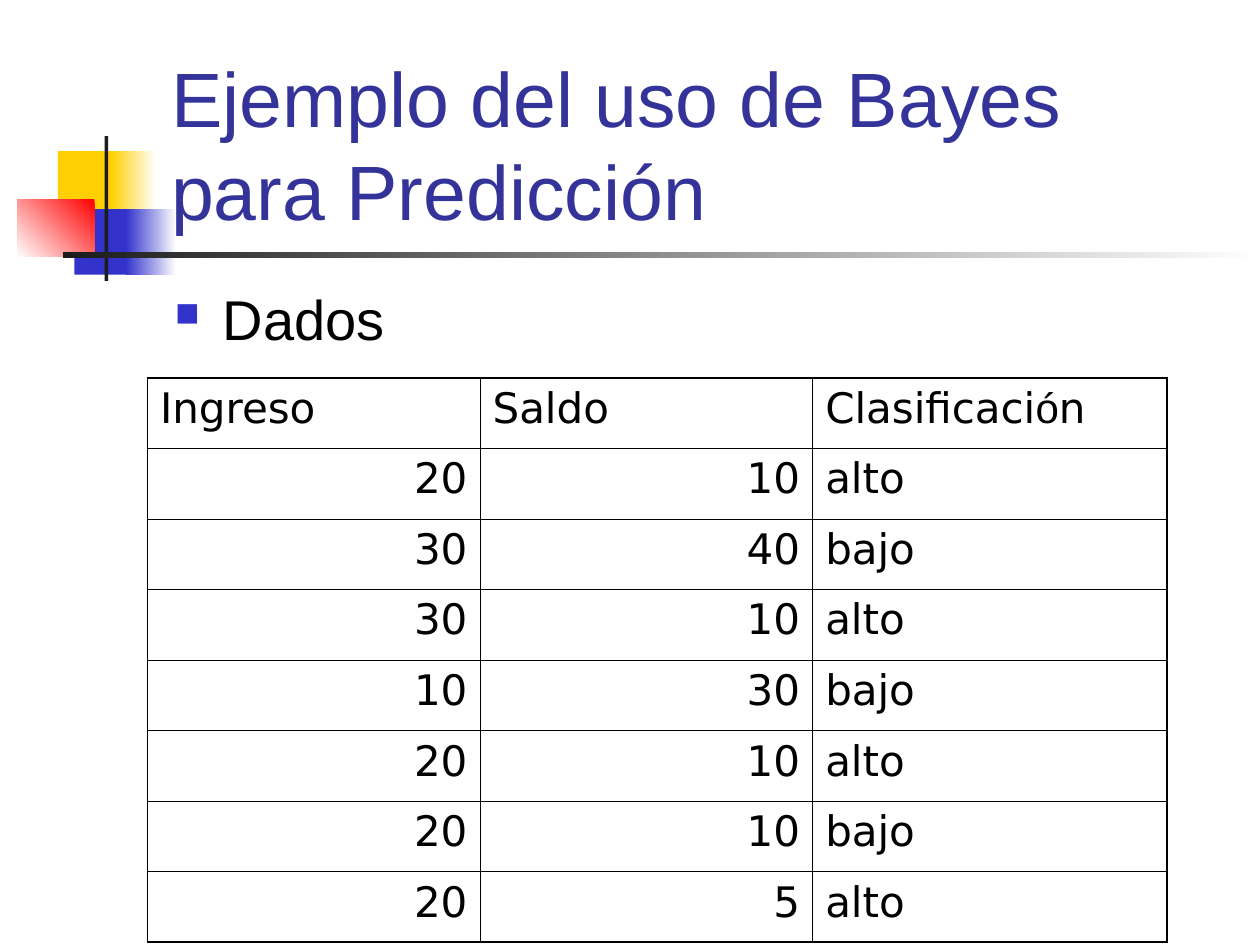
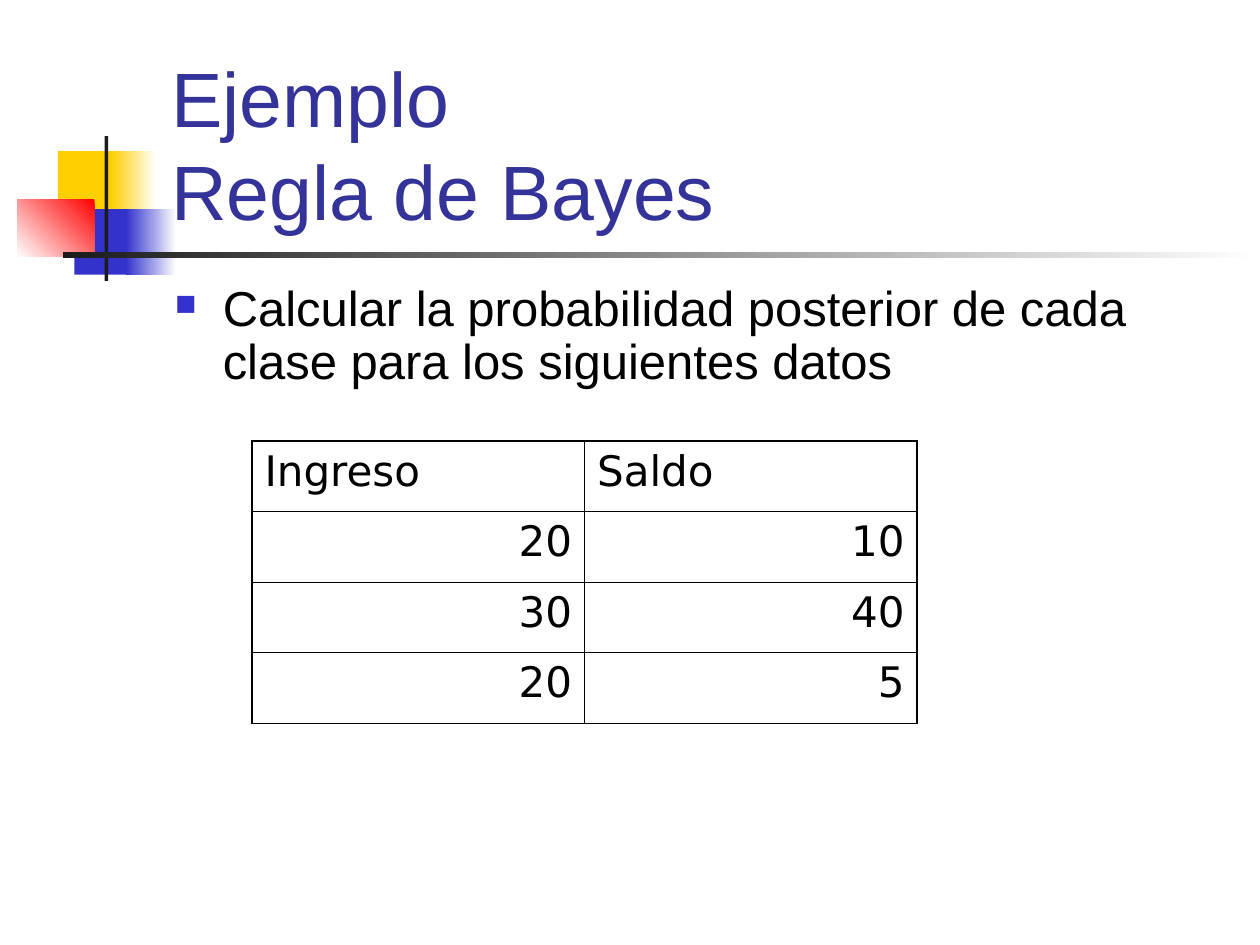
"""Builds two slides that present a Bayes prediction example with its data tables."""
from lxml.etree import SubElement
from pptx import Presentation
from pptx.dml.color import RGBColor
from pptx.enum.shapes import MSO_SHAPE
from pptx.enum.text import MSO_ANCHOR, PP_ALIGN
from pptx.oxml.ns import qn
from pptx.util import Inches, Pt

COLORS = {
    "white": "FFFFFF", "black": "000000", "title": "333399", "blue": "3333CC",
    "yellow": "FFCF01", "red": "FF0000", "bar": "1C1C1C",
}
TEXT_FONT, TABLE_FONT = "Arial", "DejaVu Sans"
TITLE_BOX = (1.26, 0.67, 8.52, 1.25)
BODY_BOX = (1.29, 2.21, 8.5, 4.5)
BULLET_INDENT = 0.38
ROW_HEIGHT = 0.56
OUTER_LINE, INNER_LINE = 1.08, 0.45

ORNAMENTS = [
    ((0.46, 1.2, 0.48, 0.52), ("yellow",), 0),
    ((0.88, 1.2, 0.36, 0.52), ("white", "yellow"), 180),
    ((0.59, 1.66, 0.46, 0.52), ("blue",), 0),
    ((1, 1.66, 0.4, 0.52), ("white", "blue"), 180),
    ((0.14, 1.58, 0.61, 0.46), ("red", "white"), 225),
    ((0.83, 1.08, 0.03, 1.15), ("bar",), 0),
    ((0.5, 2, 9.5, 0.05), ("white", "bar"), 180),
]

SLIDES = [
    {
        "title": "Ejemplo del uso de Bayes para Predicción",
        "bullet": "Dados", "size": 32, "line_spacing": 1, "space_before": 8,
        "table_at": (1.17, 3), "columns": (2.64, 2.64, 2.81), "bottom_line": OUTER_LINE,
        "rows": [
            ("Ingreso", "Saldo", ("Clasificaci", "ó", "n")),
            (20, 10, "alto"),
            (30, 40, "bajo"),
            (30, 10, "alto"),
            (10, 30, "bajo"),
            (20, 10, "alto"),
            (20, 10, "bajo"),
            (20, 5, "alto"),
        ],
    },
    {
        "title": "Ejemplo\vRegla de Bayes",
        "bullet": "Calcular la probabilidad posterior de cada clase para los siguientes datos",
        "size": 28, "line_spacing": 0.9, "space_before": 7,
        "table_at": (2, 3.5), "columns": (2.64, 2.64), "bottom_line": INNER_LINE,
        "rows": [("Ingreso", "Saldo"), (20, 10), (30, 40), (20, 5)],
    },
]


def rgb(name):
    return RGBColor.from_string(COLORS[name])


def style_span(span, font, size, color):
    span.font.name = font
    span.font.size = Pt(size)
    span.font.color.rgb = rgb(color)


def add_ornament(page, place, colors, angle):
    shape = page.shapes.add_shape(MSO_SHAPE.RECTANGLE, *map(Inches, place))
    shape.shadow.inherit = False
    shape.line.fill.background()
    if len(colors) == 1:
        shape.fill.solid()
        shape.fill.fore_color.rgb = rgb(colors[0])
        return
    shape.fill.gradient()
    shape.fill.gradient_angle = angle
    for stop, color in zip(shape.fill.gradient_stops, colors):
        stop.color.rgb = rgb(color)


def add_text(page, place, text, size, color, anchor):
    frame = page.shapes.add_textbox(*map(Inches, place)).text_frame
    frame.word_wrap = True
    frame.vertical_anchor = anchor
    frame.text = text
    para = frame.paragraphs[0]
    for span in para.runs:
        style_span(span, TEXT_FONT, size, color)
    return para


def add_bullet(para):
    properties = para._p.get_or_add_pPr()
    properties.set("marL", str(Inches(BULLET_INDENT)))
    properties.set("indent", str(-Inches(BULLET_INDENT)))
    color = SubElement(properties, qn("a:buClr"))
    SubElement(color, qn("a:srgbClr"), val=COLORS["blue"])
    SubElement(properties, qn("a:buSzPct"), val="60000")
    SubElement(properties, qn("a:buChar"), char="■")


def set_borders(cell, widths):
    properties = cell._tc.get_or_add_tcPr()
    for side, width in widths.items():
        line = SubElement(properties, qn(f"a:ln{side}"), w=str(Pt(width)))
        fill = SubElement(line, qn("a:solidFill"))
        SubElement(fill, qn("a:srgbClr"), val=COLORS["black"])


def fill_cell(cell, value):
    para = cell.text_frame.paragraphs[0]
    para.alignment = PP_ALIGN.RIGHT if isinstance(value, int) else PP_ALIGN.LEFT
    for part in value if isinstance(value, tuple) else (str(value),):
        span = para.add_run()
        span.text = part
        style_span(span, TEXT_FONT if part == "ó" else TABLE_FONT, 24, "black")


def add_data_table(page, content):
    rows, columns = content["rows"], content["columns"]
    size = (sum(columns), ROW_HEIGHT * len(rows))
    place = map(Inches, content["table_at"] + size)
    table = page.shapes.add_table(len(rows), len(columns), *place).table
    table.first_row = table.horz_banding = False
    for column, width in zip(table.columns, columns):
        column.width = Inches(width)
    last_row, last_column = len(rows) - 1, len(columns) - 1
    for r, values in enumerate(rows):
        table.rows[r].height = Inches(ROW_HEIGHT)
        for c, value in enumerate(values):
            cell = table.cell(r, c)
            fill_cell(cell, value)
            set_borders(cell, {
                "L": OUTER_LINE if c == 0 else INNER_LINE,
                "R": OUTER_LINE if c == last_column else INNER_LINE,
                "T": OUTER_LINE if r == 0 else INNER_LINE,
                "B": content["bottom_line"] if r == last_row else INNER_LINE,
            })
            cell.fill.background()


def add_page(deck, content):
    page = deck.slides.add_slide(deck.slide_layouts[6])
    for ornament in ORNAMENTS:
        add_ornament(page, *ornament)
    add_text(page, TITLE_BOX, content["title"], 44, "title", MSO_ANCHOR.BOTTOM)
    para = add_text(page, BODY_BOX, content["bullet"], content["size"], "black", MSO_ANCHOR.TOP)
    para.line_spacing = content["line_spacing"]
    para.space_before = Pt(content["space_before"])
    add_bullet(para)
    add_data_table(page, content)


def main():
    deck = Presentation()
    deck.slide_width, deck.slide_height = Inches(10), Inches(7.5)
    for content in SLIDES:
        add_page(deck, content)
    deck.save("out.pptx")


if __name__ == "__main__":
    main()
